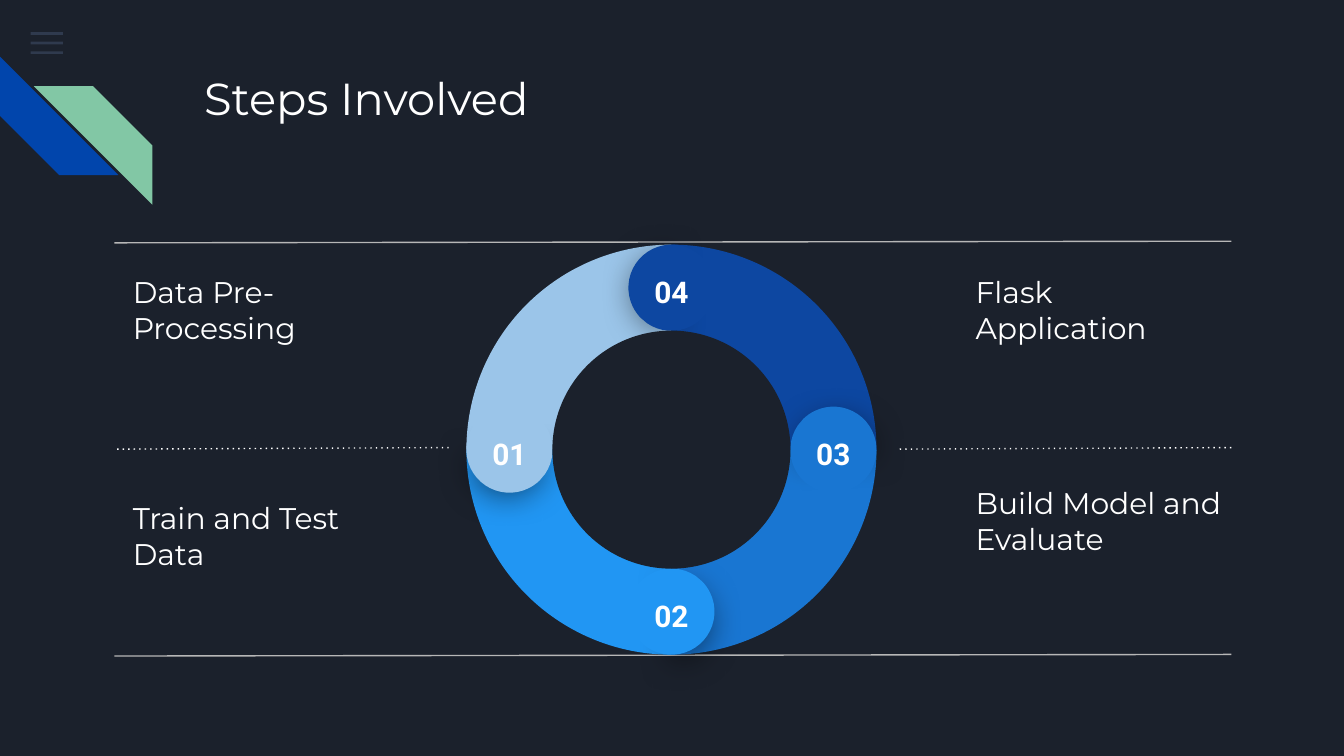
"""Build the "Steps Involved" slide: a four-step ring with labels and rules."""
from dataclasses import dataclass
from math import cos, radians, sin

from lxml import etree
from pptx import Presentation
from pptx.dml.color import RGBColor
from pptx.enum.shapes import MSO_CONNECTOR, MSO_SHAPE
from pptx.enum.text import MSO_ANCHOR, PP_ALIGN
from pptx.oxml.ns import qn
from pptx.util import Cm, Pt

RECT, OVAL = MSO_SHAPE.RECTANGLE, MSO_SHAPE.OVAL
STRIPE, CHORD = MSO_SHAPE.DIAGONAL_STRIPE, MSO_SHAPE.CHORD
PIE = MSO_SHAPE.PIE
STRAIGHT = MSO_CONNECTOR.STRAIGHT
TOP, MIDDLE = MSO_ANCHOR.TOP, MSO_ANCHOR.MIDDLE
LEFT, CENTER = PP_ALIGN.LEFT, PP_ALIGN.CENTER

DARK, WHITE, GREY = "1B212C", "FFFFFF", "B7B7B7"
CX, CY = 12.69, 8.5
RING, HOLE = 7.75, 4.5
CAP, CAP_RADIUS = 1.63, 3.06
SHADE, SHADE_RADIUS = 1.45, 3.12


@dataclass
class Step:
    number: str
    turn: int
    color: str


@dataclass
class Label:
    text: str
    x: float
    y: float


@dataclass
class Rule:
    x1: float
    y1: float
    x2: float
    y2: float
    color: str
    dotted: bool = False


STEPS = [
    Step("01", 0, "9BC5E9"),
    Step("02", 270, "2196F3"),
    Step("03", 180, "1976D2"),
    Step("04", 90, "0D47A1"),
]
LABELS = [
    Label("Data Pre-Processing", 2.26, 5.24),
    Label("Train and Test Data", 2.26, 9.5),
    Label("Flask Application", 18.19, 5.24),
    Label("Build Model and Evaluate", 18.19, 9.22),
]
RULES = [
    Rule(23.27, 4.56, 2.16, 4.59, GREY),
    Rule(8.48, 8.46, 2.16, 8.49, WHITE, True),
    Rule(23.27, 8.46, 16.94, 8.49, WHITE, True),
    Rule(23.27, 12.37, 2.16, 12.4, GREY),
]


def rgb(color: str) -> RGBColor:
    return RGBColor.from_string(color)


def add_shape(s, kind, x: float, y: float, w: float, h: float, color: str,
              turn: float = 0, adj: tuple = ()):
    sp = s.shapes.add_shape(kind, Cm(x), Cm(y), Cm(w), Cm(h))
    sp.shadow.inherit = False
    sp.fill.solid()
    sp.fill.fore_color.rgb = rgb(color)
    sp.line.fill.background()
    sp.rotation = turn
    for i, value in enumerate(adj):
        sp.adjustments[i] = value
    return sp


def add_centered(s, kind, cx: float, cy: float, size: float, color: str,
                 turn: float = 0, adj: tuple = ()):
    return add_shape(s, kind, cx - size / 2, cy - size / 2, size, size, color, turn, adj)


def add_alpha(color_element, percent: int) -> None:
    etree.SubElement(color_element, qn("a:alpha"), val=str(percent * 1000))


def add_shadow(sp) -> None:
    effects = sp._element.spPr.find(qn("a:effectLst"))
    shadow = etree.SubElement(effects, qn("a:outerShdw"), blurRad=str(Pt(18)),
                              dist=str(Pt(4)), dir="5400000", algn="bl", rotWithShape="0")
    add_alpha(etree.SubElement(shadow, qn("a:srgbClr"), val="000000"), 55)


def add_text(s, text: str, x: float, y: float, w: float, h: float, size: int,
             name: str = "Montserrat", bold: bool = False, anchor=TOP, align=LEFT) -> None:
    tf = s.shapes.add_textbox(Cm(x), Cm(y), Cm(w), Cm(h)).text_frame
    frame = {"word_wrap": True, "vertical_anchor": anchor}
    frame |= {f"margin_{side}": Cm(0.25) for side in ("left", "top", "right", "bottom")}
    for key, value in frame.items():
        setattr(tf, key, value)
    p = tf.paragraphs[0]
    p.alignment = align
    r = p.add_run()
    r.text = text
    for key, value in {"name": name, "size": Pt(size), "bold": bold}.items():
        setattr(r.font, key, value)
    r.font.color.rgb = rgb(WHITE)


def add_rule(s, rule: Rule) -> None:
    line = s.shapes.add_connector(STRAIGHT, Cm(rule.x1), Cm(rule.y1), Cm(rule.x2), Cm(rule.y2))
    line.line.color.rgb = rgb(rule.color)
    line.line.width = Pt(0.75)
    spPr = line._element.spPr
    if rule.dotted:
        etree.SubElement(spPr.find(qn("a:ln")), qn("a:prstDash"), val="dot")
    etree.SubElement(spPr, qn("a:effectLst"))


def add_cap(s, step: Step) -> None:
    angle = radians(180 + step.turn)
    dx, dy = cos(angle), sin(angle)
    shade = add_centered(s, PIE, CX + SHADE_RADIUS * dx, CY + SHADE_RADIUS * dy, SHADE,
                         step.color, step.turn + 39.5, (189.54, 83.81))
    add_shadow(shade)
    x, y = CX + CAP_RADIUS * dx, CY + CAP_RADIUS * dy
    add_centered(s, CHORD, x, y, CAP, step.color, step.turn + 4.1, (25, 18.12))
    add_text(s, step.number, x - 0.71, y - 0.51, 1.42, 0.74, 16, "Roboto", True, align=CENTER)


def main() -> None:
    prs = Presentation()
    prs.slide_width, prs.slide_height = Cm(25.4), Cm(14.29)
    s = prs.slides.add_slide(prs.slide_layouts[6])
    s.background.fill.solid()
    s.background.fill.fore_color.rgb = rgb(DARK)

    for i in range(3):
        bar = add_shape(s, RECT, 0.58, 0.61 + 0.18 * i, 0.61, 0.05, "55688B")
        add_alpha(bar._element.spPr.find(qn("a:solidFill"))[0], 36)
    add_shape(s, STRIPE, 0, 1.07, 2.24, 2.24, "0145AC", 270, (0.5,))
    add_shape(s, STRIPE, 0.64, 1.63, 2.24, 2.24, "82C7A5", 90, (0.5,))

    add_text(s, "Steps Involved", 3.61, 1.09, 19.56, 2.54, 24)
    for label in LABELS:
        add_text(s, label.text, label.x, label.y, 5.18, 1.24, 16, anchor=MIDDLE)
    for rule in RULES:
        add_rule(s, rule)

    for step in STEPS:
        add_centered(s, PIE, CX, CY, RING, step.color, step.turn, (108, 162))
    for step in STEPS:
        add_cap(s, step)
    add_centered(s, OVAL, CX, CY, HOLE, DARK)
    prs.save("out.pptx")


if __name__ == "__main__":
    main()
